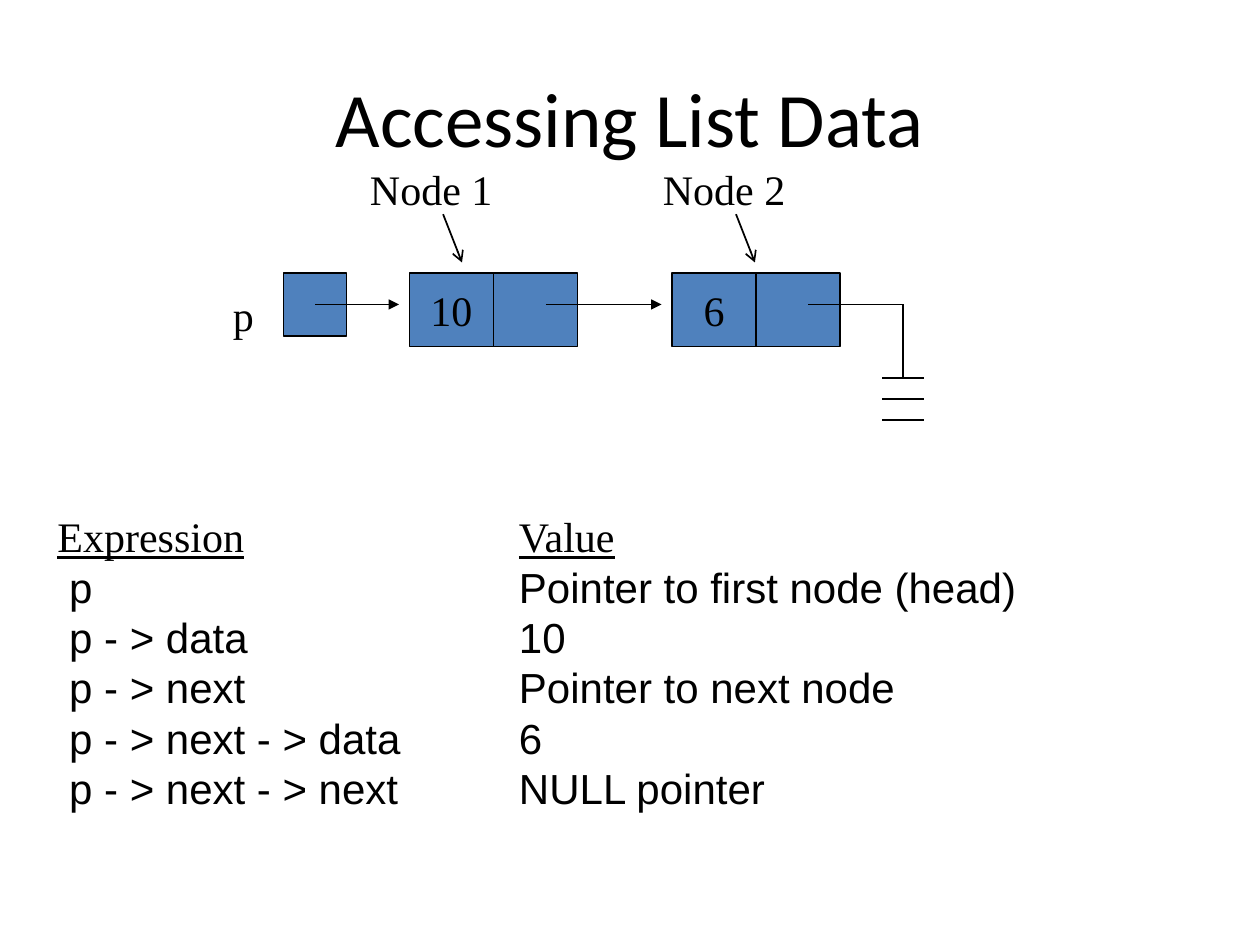
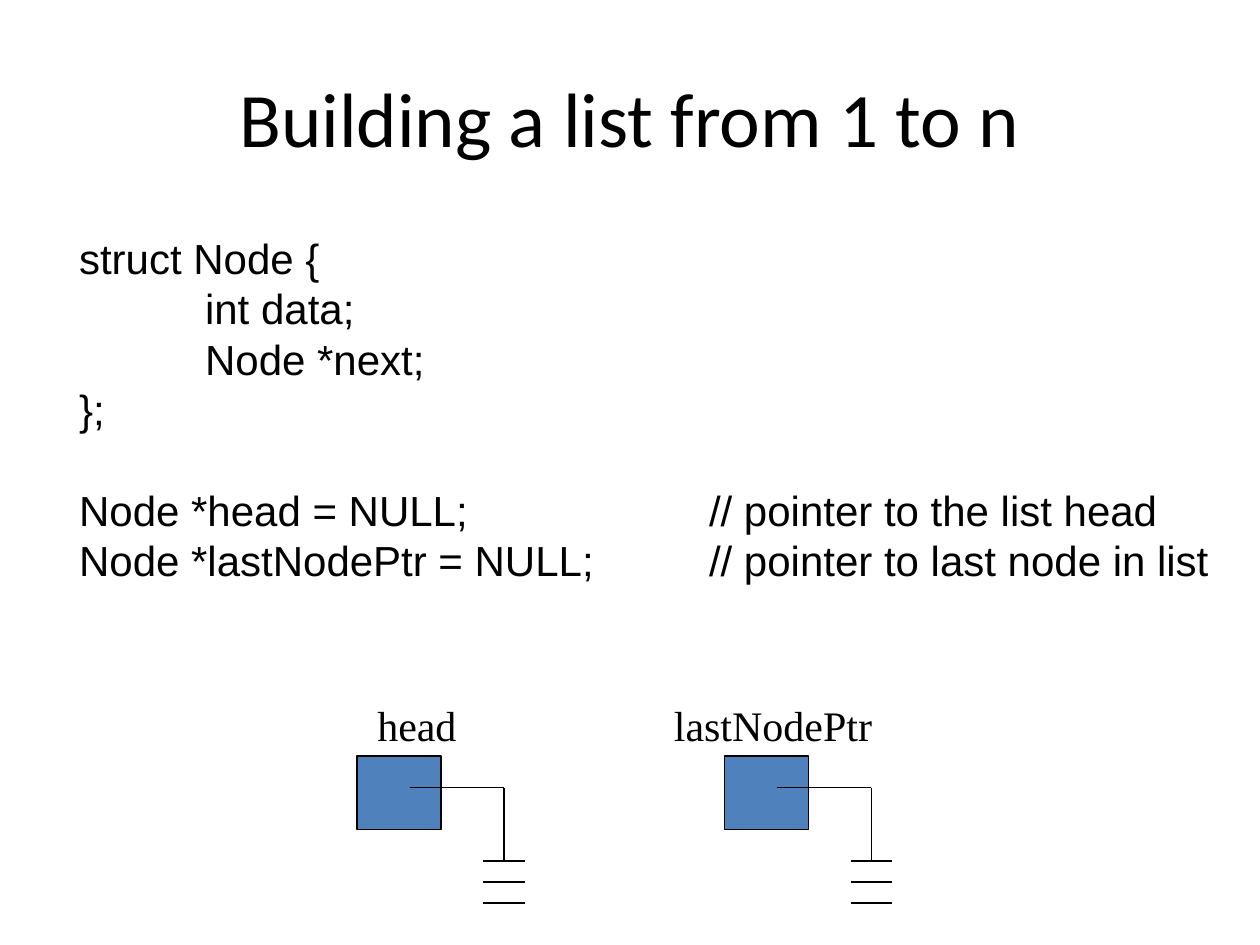
from pptx import Presentation
from pptx.dml.color import RGBColor
from pptx.enum.shapes import MSO_CONNECTOR, MSO_SHAPE
from pptx.enum.text import MSO_ANCHOR, PP_ALIGN
from pptx.oxml.ns import qn
from pptx.util import Inches, Pt
from lxml import etree

BLACK = RGBColor(0x00, 0x00, 0x00)
BLUE = RGBColor(0x4F, 0x81, 0xBD)
RECT, STRAIGHT = MSO_SHAPE.RECTANGLE, MSO_CONNECTOR.STRAIGHT
TOP, MIDDLE = MSO_ANCHOR.TOP, MSO_ANCHOR.MIDDLE
LEFT, CENTER = PP_ALIGN.LEFT, PP_ALIGN.CENTER

TITLE = {"name": "Calibri", "size": Pt(44)}
SERIF = {"name": "Times New Roman", "size": Pt(24)}
HEADING = {**SERIF, "underline": True}
SANS = {"name": "Arial", "size": Pt(24)}
LINE_HEIGHT = Pt(28.8)

# The grid has 12 columns and 12 rows to the inch
CELL = Inches(1) // 12
NODE_W, NODE_H = 8, 7

prs = Presentation()
prs.slide_width, prs.slide_height = 120 * CELL, 90 * CELL


def write(sp, lines, align=LEFT, anchor=TOP, spacing=LINE_HEIGHT):
    """Fill a shape with (text, format) lines; None leaves a line's gap."""
    tf = sp.text_frame
    tf.word_wrap = True
    tf.vertical_anchor = anchor
    p, gap = tf.paragraphs[0], False
    for i, line in enumerate(lines):
        if line is None:
            gap = True
            continue
        if i:
            p = tf.add_paragraph()
        p.alignment, p.line_spacing = align, spacing
        if gap:
            p.space_before, gap = LINE_HEIGHT, False
        text, fmt = line
        if "\t" in text:
            tabs = etree.SubElement(p._p.get_or_add_pPr(), qn("a:tabLst"))
            for inch in range(1, 8):
                etree.SubElement(tabs, qn("a:tab"), pos=str(Inches(inch)), algn="l")
        r = p.add_run()
        r.text = text
        r.font.color.rgb = BLACK
        for key, value in fmt.items():
            setattr(r.font, key, value)


def draw_line(s, x1, y1, x2, y2, head=None):
    ends = [round(v * CELL) for v in (x1, y1, x2, y2)]
    sp = s.shapes.add_connector(STRAIGHT, *ends)
    sp.line.color.rgb, sp.line.width = BLACK, Pt(1)
    if head:
        etree.SubElement(sp.line._get_or_add_ln(), qn("a:tailEnd"), type=head)
    etree.SubElement(sp._element.spPr, qn("a:effectLst"))


# Text of the two-column list
rows = [
    ("p", "Pointer to first node (head)"),
    ("p - > data", "10"),
    ("p - > next", "Pointer to next node"),
    ("p - > next - > data", "6"),
    ("p - > next - > next", "NULL pointer"),
]
expressions = [("Expression", HEADING)] + [(" " + e, SANS) for e, v in rows]
values = [("Value", HEADING)] + [(v, SANS) for e, v in rows]

code = [
    "struct Node {",
    "\tint data;",
    "\tNode *next;",
    "};",
    None,
    "Node *head = NULL;\t\t// pointer to the list head",
    "Node *lastNodePtr = NULL;\t// pointer to last node in list",
]
code_lines = [line and (line, SANS) for line in code]

# Content in grid cells: boxes, arrows, starts of null pointers, text blocks
slides = [
    {
        "title": "Accessing List Data",
        "boxes": [
            (27, 26, 6, 6, ""),
            (39, 26, NODE_W, NODE_H, "10"),
            (39 + NODE_W, 26, NODE_W, NODE_H, ""),
            (64, 26, NODE_W, NODE_H, "6"),
            (64 + NODE_W, 26, NODE_W, NODE_H, ""),
        ],
        "arrows": [
            (30, 29, 38, 29, "triangle"),
            (52, 29, 63, 29, "triangle"),
            (42.2, 20.4, 44, 25, "arrow"),
            (70.1, 20.4, 71.9, 25, "arrow"),
        ],
        "nulls": [(77, 29)],
        "texts": [
            (21, 27, 4.5, 6, [("p", SERIF)]),
            (34.05, 15, 14.5, 6, [("Node 1", SERIF)]),
            (61.95, 15, 14.5, 6, [("Node 2", SERIF)]),
            (4.3, 48.05, 50.4, 30, expressions),
            (48.25, 48.05, 50.4, 30, values),
        ],
    },
    {
        "title": "Building a list from 1 to n",
        "boxes": [(x, 72, NODE_W, NODE_H, "") for x in (34, 69)],
        "arrows": [],
        "nulls": [(39, 75), (74, 75)],
        "texts": [
            (6.35, 21.55, 111, 44.4, code_lines),
            (34.75, 66, 10.5, 6, [("head", SERIF)]),
            (63, 66, 22, 6, [("lastNodePtr", SERIF)]),
        ],
    },
]

for content in slides:
    s = prs.slides.add_slide(prs.slide_layouts[6])

    # Title
    sp = s.shapes.add_textbox(6 * CELL, Inches(0.3), 108 * CELL, 15 * CELL)
    write(sp, [(content["title"], TITLE)], CENTER, MIDDLE, 1.0)

    # Pointer and node boxes
    for x, y, w, h, label in content["boxes"]:
        sp = s.shapes.add_shape(RECT, x * CELL, y * CELL, w * CELL, h * CELL)
        sp.shadow.inherit = False
        sp.fill.solid()
        sp.fill.fore_color.rgb = BLUE
        sp.line.color.rgb, sp.line.width = BLACK, Pt(1)
        if label:
            write(sp, [(label, SERIF)], CENTER, MIDDLE)

    # Arrows
    for arrow in content["arrows"]:
        draw_line(s, *arrow)

    # Null pointers: an elbow down to three bars
    for x, y in content["nulls"]:
        draw_line(s, x, y, x + 9, y)
        draw_line(s, x + 9, y, x + 9, y + 7)
        for bar_y in range(y + 7, y + 12, 2):
            draw_line(s, x + 7, bar_y, x + 11, bar_y)

    # Labels and text blocks
    for x, y, w, h, lines in content["texts"]:
        box = [round(v * CELL) for v in (x, y, w, h)]
        write(s.shapes.add_textbox(*box), lines)

prs.save("out.pptx")
